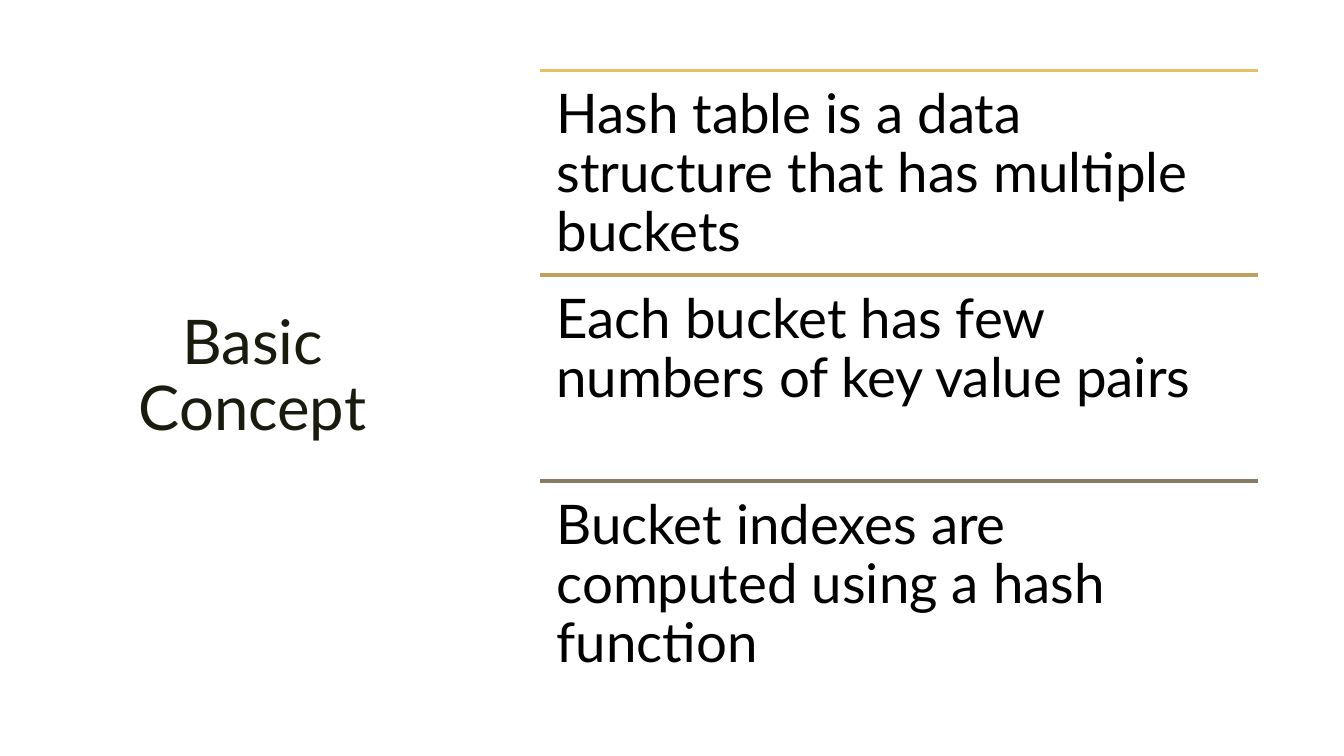
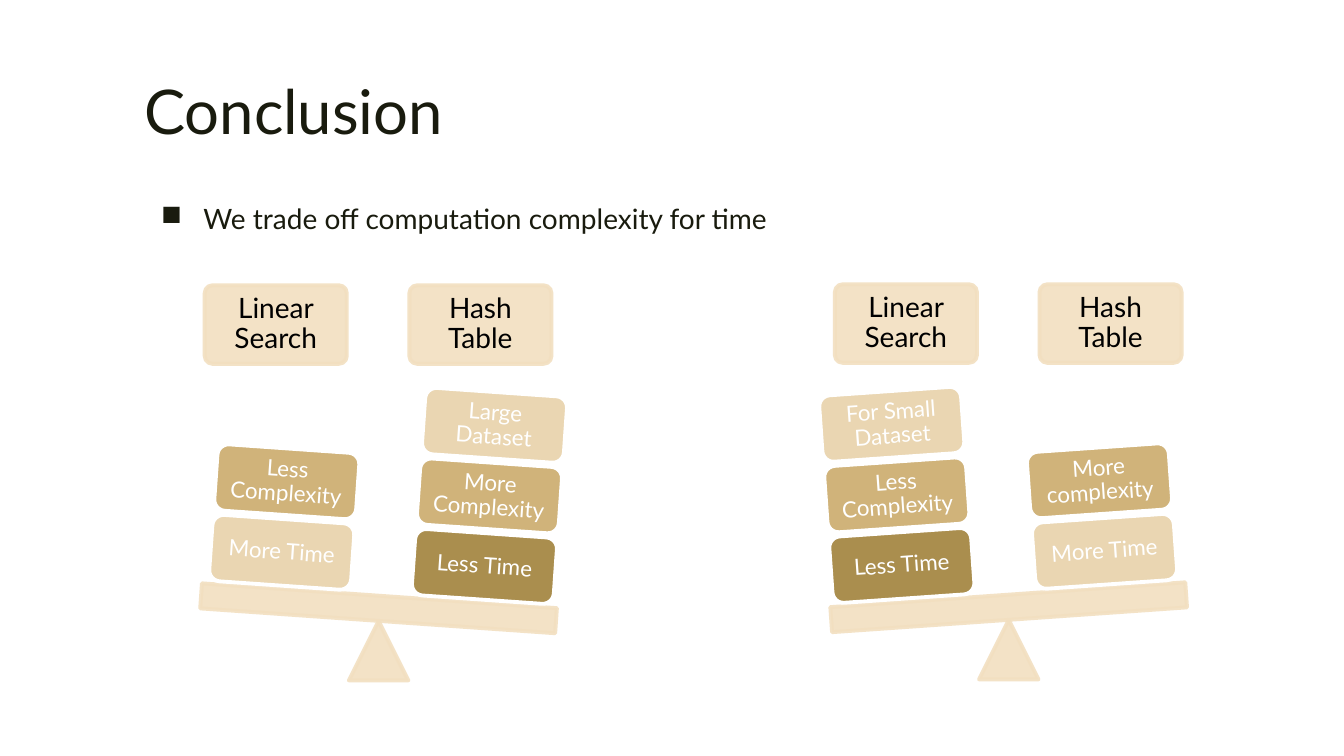
from lxml.etree import SubElement
from pptx import Presentation
from pptx.dml.color import RGBColor
from pptx.enum.shapes import MSO_CONNECTOR, MSO_SHAPE
from pptx.enum.text import MSO_ANCHOR, MSO_AUTO_SIZE, PP_ALIGN
from pptx.oxml.ns import qn
from pptx.util import Pt

EMU_PER_PX = 9144
FONT = "Lato"
COLOURS = {
    "title": "191B0E",
    "black": "000000",
    "white": "FFFFFF",
    "sand": "F2DFC0",
    "pale": "EAD6B2",
    "mid": "D0B37A",
    "dark": "AA8E4E",
    "rule_gold": "E6C069",
    "rule_ochre": "C0A05C",
    "rule_taupe": "897B61",
}
LINE_WIDTH = Pt(2.75)
TILT = 4
LABEL_GAP = 203
BLOCK_STEP = (5, -70)
HEAVY_START, HEAVY_COLOURS = (207, 246), ("dark", "mid", "pale")
LIGHT_START, LIGHT_COLOURS = (6, 232), ("pale", "mid")


def px(length):
    return length * EMU_PER_PX


def box(left, top, width, height):
    return [px(length) for length in (left, top, width, height)]


def rgb(name):
    return RGBColor.from_string(COLOURS[name])


def write(frame, text, size, colour, align=PP_ALIGN.LEFT, anchor=MSO_ANCHOR.TOP,
          spacing=0.9, insets=(10, 5)):
    frame.text = text
    frame.word_wrap = True
    frame.auto_size = MSO_AUTO_SIZE.NONE
    frame.vertical_anchor = anchor
    frame.margin_left = frame.margin_right = px(insets[0])
    frame.margin_top = frame.margin_bottom = px(insets[1])
    paragraph = frame.paragraphs[0]
    paragraph.alignment = align
    paragraph.line_spacing = spacing
    font = paragraph.runs[0].font
    font.name = FONT
    font.size = Pt(size)
    font.color.rgb = rgb(colour)
    return paragraph


def add_titled_slide(deck, text, area, **layout):
    slide = deck.slides.add_slide(deck.slide_layouts[5])
    title = slide.shapes.title
    title.left, title.top, title.width, title.height = box(*area)
    write(title.text_frame, text, 44, "title", spacing=0.89, **layout)
    return slide


def add_rule(slide, left, top, width, colour):
    rule = slide.shapes.add_connector(
        MSO_CONNECTOR.STRAIGHT, px(left), px(top), px(left + width), px(top))
    rule.line.color.rgb = rgb(colour)
    rule.line.width = LINE_WIDTH
    SubElement(rule._element.spPr, qn("a:effectLst"))


def add_bullet(slide, text, area):
    body = slide.shapes.add_textbox(*box(*area))
    paragraph = write(body.text_frame, text, 20, "title", spacing=0.94)
    paragraph.space_before = Pt(10)
    paragraph.space_after = Pt(2)
    properties = paragraph._p.get_or_add_pPr()
    properties.set("marL", str(px(42)))
    properties.set("indent", str(px(-42)))
    SubElement(properties, qn("a:buChar"), char="■")


def add_solid(shapes, kind, area, fill, outline, tilt=0):
    solid = shapes.add_shape(kind, *box(*area))
    solid.rotation = tilt
    solid.shadow.inherit = False
    solid.fill.solid()
    solid.fill.fore_color.rgb = rgb(fill)
    solid.line.color.rgb = rgb(outline)
    solid.line.width = LINE_WIDTH
    return solid


def add_sand(shapes, kind, area, tilt=0):
    sand = add_solid(shapes, kind, area, "sand", "sand", tilt)
    for colour in sand._element.spPr.iter(qn("a:srgbClr")):
        SubElement(colour, qn("a:alpha"), val="90000")
    return sand


def write_centred(shape, text, size, colour):
    write(shape.text_frame, text, size, colour, PP_ALIGN.CENTER,
          MSO_ANCHOR.MIDDLE, insets=(10, 10))


def add_scale(slide, left, top, heavy, light, heavy_right):
    shapes = slide.shapes.add_group_shape().shapes
    tilt = TILT if heavy_right else -TILT
    for column, text in enumerate(("Linear Search", "Hash Table")):
        label = add_sand(shapes, MSO_SHAPE.ROUNDED_RECTANGLE,
                         (left + column * LABEL_GAP, top, 141, 78))
        label.adjustments[0] = 0.1
        write_centred(label, text, 20, "black")
    add_sand(shapes, MSO_SHAPE.ISOSCELES_TRIANGLE, (left + 143, top + 333, 59, 59))
    add_sand(shapes, MSO_SHAPE.RECTANGLE, (left - 4, top + 308, 353, 25), tilt)
    stacks = ((HEAVY_START, HEAVY_COLOURS, heavy), (LIGHT_START, LIGHT_COLOURS, light))
    for (start_x, start_y), fills, texts in stacks:
        for level, (fill, text) in enumerate(zip(fills, texts)):
            x = start_x + level * BLOCK_STEP[0]
            y = start_y + level * BLOCK_STEP[1]
            if not heavy_right:
                x = LABEL_GAP - x
            block = add_solid(shapes, MSO_SHAPE.ROUNDED_RECTANGLE,
                              (left + x, top + y, 141, 66), fill, "white", tilt)
            write_centred(block, text, 16, "white")


def build_concept(deck):
    slide = add_titled_slide(deck, "Basic Concept", (70, 70, 361, 610),
                             align=PP_ALIGN.CENTER, anchor=MSO_ANCHOR.MIDDLE)
    points = (
        ("Hash table is a data structure that has multiple buckets", "rule_gold"),
        ("Each bucket has few numbers of key value pairs", "rule_ochre"),
        ("Bucket indexes are computed using a hash function", "rule_taupe"),
    )
    left, width, height = 536, 712, 610
    for row, (text, colour) in enumerate(points):
        top = 70 + round(row * height / len(points))
        add_rule(slide, left, top, width, colour)
        point = slide.shapes.add_textbox(*box(left, top, width, 203))
        write(point.text_frame, text, 39, "black", insets=(16, 16))


def build_conclusion(deck):
    slide = add_titled_slide(deck, "Conclusion", (133, 76, 1050, 162))
    add_bullet(slide, "We trade off computation complexity for time",
               (150, 198, 1050, 404))
    add_scale(slide, 203, 283,
              heavy=("Less Time", "More Complexity", "Large Dataset"),
              light=("More Time", "Less Complexity"), heavy_right=True)
    add_scale(slide, 828, 282,
              heavy=("Less Time", "Less Complexity", "For Small Dataset"),
              light=("More Time", "More complexity"), heavy_right=False)


def main():
    deck = Presentation()
    deck.slide_width, deck.slide_height = px(1333), px(750)
    build_concept(deck)
    build_conclusion(deck)
    deck.save("out.pptx")


if __name__ == "__main__":
    main()
